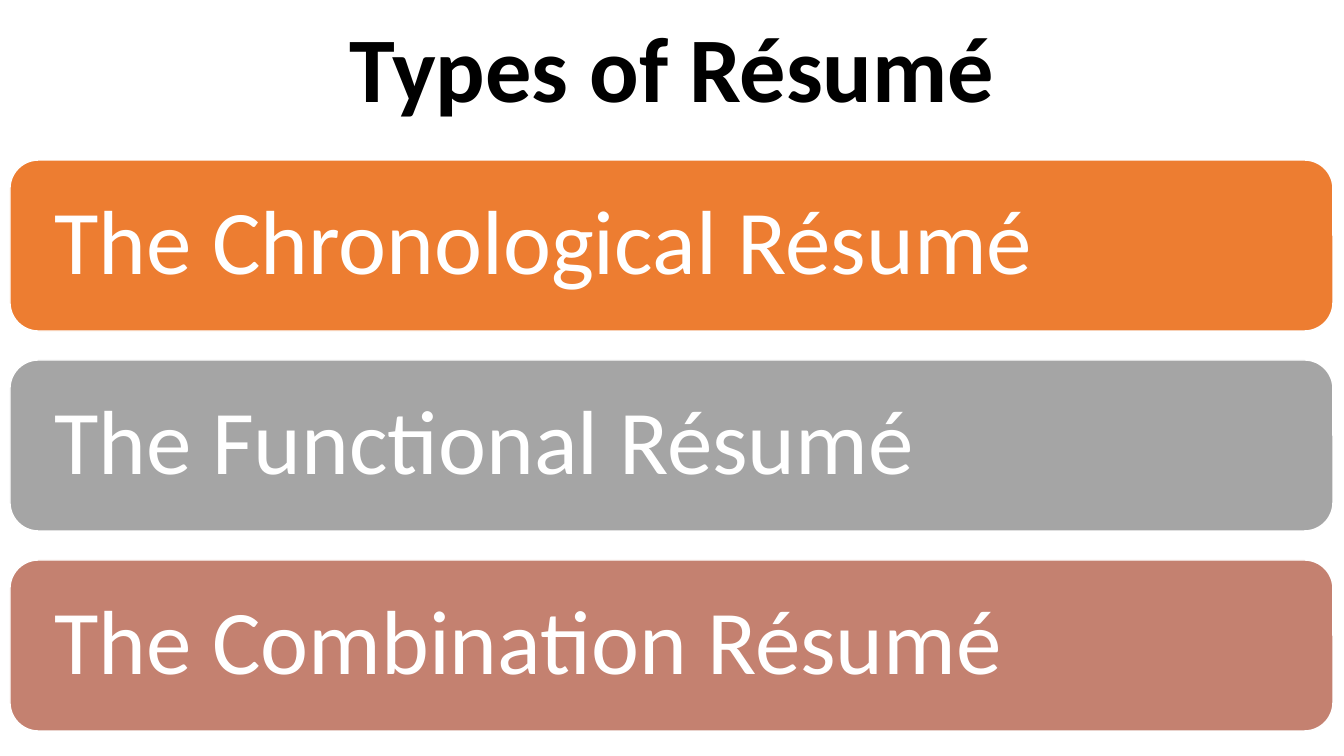
"""Build the slide that lists the three types of résumé."""
from pptx import Presentation
from pptx.dml.color import RGBColor
from pptx.enum.shapes import MSO_SHAPE as Preset
from pptx.enum.text import MSO_ANCHOR as Anchor, PP_ALIGN as Align
from pptx.util import Emu, Pt

TITLE = "Types of Résumé"
RESUME_TYPES = [
    ("The Chronological Résumé", "orange"),
    ("The Functional Résumé", "gray"),
    ("The Combination Résumé", "rose"),
]
THEME = {
    "font": "Calibri",
    "title_size": 66,
    "bar_size": 65,
    "black": "000000",
    "white": "FFFFFF",
    "orange": "ED7D31",
    "gray": "A5A5A5",
    "rose": "C48170",
}
SLIDE_W, SLIDE_H = 1344, 756
TITLE_H, TITLE_INSET = 146, 10
BAR_LEFT, BAR_TOP, BAR_W, BAR_H = 10, 160, 1323, 171
BAR_PITCH, BAR_INSET = 200, 36


def px(length):
    return Emu(round(length * 914400 / 100.8))


def color(name):
    return RGBColor.from_string(THEME[name])


def write(shape, words, size, ink, bold, align, inset):
    frame = shape.text_frame
    frame.text = words
    frame_format = {
        "word_wrap": True,
        "vertical_anchor": Anchor.MIDDLE,
        "margin_left": px(inset),
        "margin_right": px(inset),
    }
    for key, value in frame_format.items():
        setattr(frame, key, value)
    line = frame.paragraphs[0]
    line.alignment = align
    line.line_spacing = 0.9
    font = line.runs[0].font
    font_format = {"name": THEME["font"], "size": Pt(THEME[size]), "bold": bold}
    for key, value in font_format.items():
        setattr(font, key, value)
    font.color.rgb = color(ink)


def main():
    deck = Presentation()
    deck.slide_width, deck.slide_height = px(SLIDE_W), px(SLIDE_H)
    slide = deck.slides.add_slide(deck.slide_layouts[6])

    title = slide.shapes.add_textbox(0, 0, px(SLIDE_W), px(TITLE_H))
    write(title, TITLE, "title_size", "black", True, Align.CENTER, TITLE_INSET)

    for row, (resume_type, fill) in enumerate(RESUME_TYPES):
        bar = slide.shapes.add_shape(
            Preset.ROUNDED_RECTANGLE,
            px(BAR_LEFT), px(BAR_TOP + row * BAR_PITCH), px(BAR_W), px(BAR_H),
        )
        bar.shadow.inherit = False
        bar.fill.solid()
        bar.fill.fore_color.rgb = color(fill)
        bar.line.color.rgb = color("white")
        bar.line.width = Pt(1)
        write(bar, resume_type, "bar_size", "white", False, Align.LEFT, BAR_INSET)

    deck.save("out.pptx")


if __name__ == "__main__":
    main()
